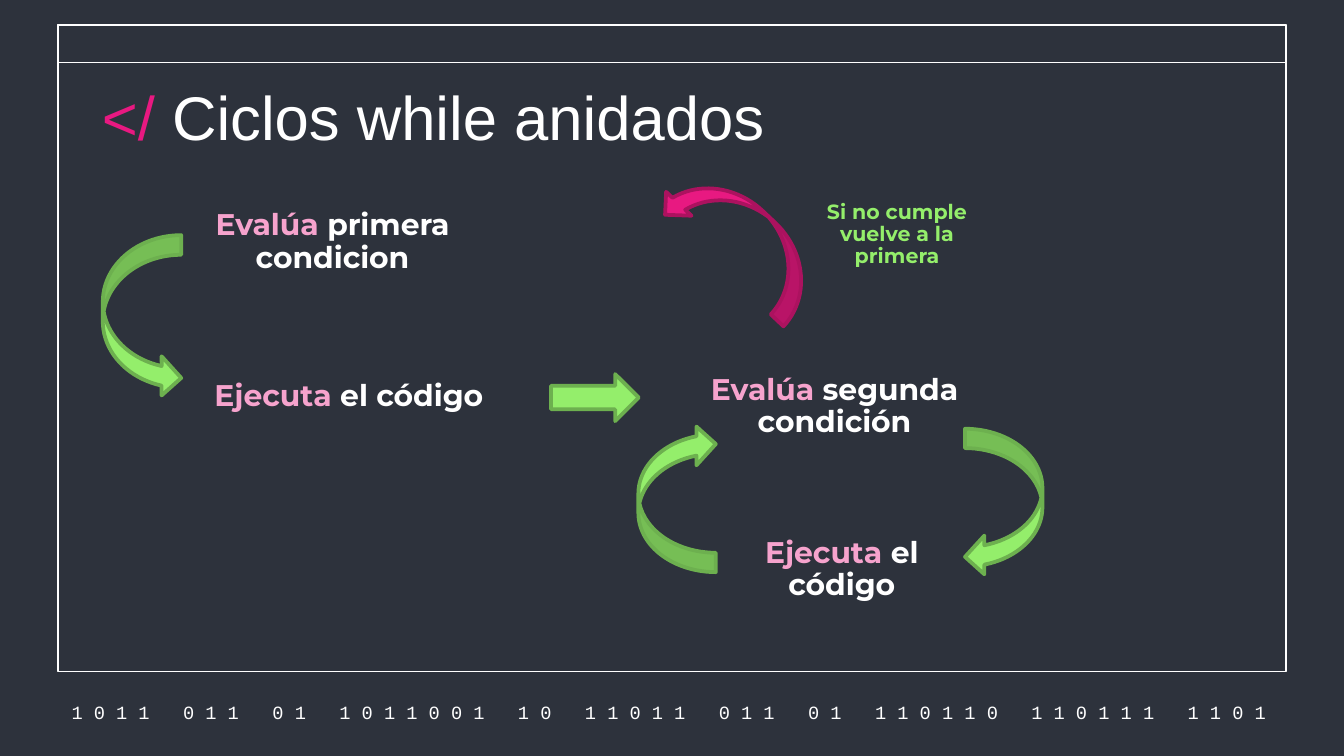
from dataclasses import dataclass

from pptx import Presentation
from pptx import util as u
from pptx.dml.color import RGBColor
from pptx.enum import shapes, text

COLORS = {
    "background": "2D323C",
    "white": "FFFFFF",
    "magenta": "E81981",
    "dark_magenta": "AC125F",
    "pink": "F6A3CD",
    "green": "94EE6B",
    "dark_green": "6DB04F",
}
BINARY = (
    "1 0 1 1   0 1 1   0 1   1 0 1 1 0 0 1   1 0   1 1 0 1 1   "
    "0 1 1   0 1   1 1 0 1 1 0   1 1 0 1 1 1   1 1 0 1 "
)


@dataclass(frozen=True)
class Box:
    left: float
    top: float
    width: float
    height: float

    def points(self) -> list:
        return [u.Pt(v) for v in (self.left, self.top, self.width, self.height)]


@dataclass(frozen=True)
class Step:
    box: Box
    verb: str
    rest: str


@dataclass(frozen=True)
class Arrow:
    box: Box
    kind: shapes.MSO_SHAPE = shapes.MSO_SHAPE.CURVED_RIGHT_ARROW
    fill: str = "green"
    line: str = "dark_green"
    rotation: float = 0
    flipped: bool = False


FRAMES = [Box(31, 13.5, 658, 346.3), Box(31, 13.5, 658, 20)]
STEPS = [
    Step(Box(74.2, 105.8, 208, 48.2), "Evalúa ", "primera condicion"),
    Step(Box(99.4, 191.5, 175, 41.8), "Ejecuta ", "el código"),
    Step(Box(344.9, 193.7, 204.5, 48.2), "Evalúa ", "segunda condición"),
    Step(Box(383, 284.4, 136, 41.8), "Ejecuta ", "el código"),
]
ARROWS = [
    Arrow(Box(55.1, 126, 42, 87)),
    Arrow(Box(517, 229.7, 41.5, 79)),
    Arrow(Box(295.2, 200.4, 47, 25.2), kind=shapes.MSO_SHAPE.RIGHT_ARROW),
    Arrow(Box(378.7, 79.9, 37.4, 96.5), fill="magenta", line="dark_magenta", rotation=133.3),
    Arrow(Box(342, 227.5, 41.5, 79), rotation=180, flipped=True),
]
ARROWS[1] = Arrow(ARROWS[1].box, flipped=True)


def color(name: str) -> RGBColor:
    return RGBColor.from_string(COLORS[name])


def add_text(slide, box: Box, runs: list[tuple[str, str]], *, size: float,
             font: str = "Montserrat", bold: bool = False, centered: bool = True,
             middle: bool = True, spacing: float = 1, inset: float = 3.6) -> None:
    frame = slide.shapes.add_textbox(*box.points()).text_frame
    frame.word_wrap = True
    frame.vertical_anchor = text.MSO_ANCHOR.MIDDLE if middle else text.MSO_ANCHOR.TOP
    frame.margin_left = frame.margin_right = u.Pt(7.2)
    frame.margin_top = frame.margin_bottom = u.Pt(inset)
    paragraph = frame.paragraphs[0]
    paragraph.alignment = text.PP_ALIGN.CENTER if centered else text.PP_ALIGN.LEFT
    paragraph.line_spacing = spacing
    for words, color_name in runs:
        run = paragraph.add_run()
        run.text = words
        run.font.name = font
        run.font.size = u.Pt(size)
        run.font.bold = bold
        run.font.color.rgb = color(color_name)


def add_shape(slide, kind: shapes.MSO_SHAPE, box: Box, fill: str, line: str, weight: float):
    shape = slide.shapes.add_shape(kind, *box.points())
    shape.shadow.inherit = False
    shape.fill.solid()
    shape.fill.fore_color.rgb = color(fill)
    shape.line.color.rgb = color(line)
    shape.line.width = u.Pt(weight)
    return shape


def add_arrow(slide, arrow: Arrow) -> None:
    shape = add_shape(slide, arrow.kind, arrow.box, arrow.fill, arrow.line, 2)
    shape.rotation = arrow.rotation
    if arrow.flipped:
        shape._element.spPr.xfrm.set("flipH", "1")


def main() -> None:
    presentation = Presentation()
    presentation.slide_width, presentation.slide_height = u.Pt(720), u.Pt(405)
    slide = presentation.slides.add_slide(presentation.slide_layouts[6])
    slide.background.fill.solid()
    slide.background.fill.fore_color.rgb = color("background")

    for frame in FRAMES:
        add_shape(slide, shapes.MSO_SHAPE.RECTANGLE, frame, "background", "white", 0.75)
    add_text(slide, Box(27.4, 374.4, 667.4, 14.4), [(BINARY, "white")],
             size=10, font="Courier New", inset=7.2)
    add_text(slide, Box(47.5, 35.3, 607, 45.4),
             [("</ ", "magenta"), ("Ciclos while anidados", "white")],
             size=33, font="Arial", centered=False, middle=False, inset=7.2)
    for step in STEPS:
        add_text(slide, step.box, [(step.verb, "pink"), (step.rest, "white")],
                 size=16, bold=True, spacing=0.9)
    add_text(slide, Box(419, 111.6, 123.1, 28.1),
             [("Si no cumple vuelve a la primera", "green")],
             size=11, bold=True, spacing=0.9)
    for arrow in ARROWS:
        add_arrow(slide, arrow)
    presentation.save("out.pptx")


if __name__ == "__main__":
    main()
